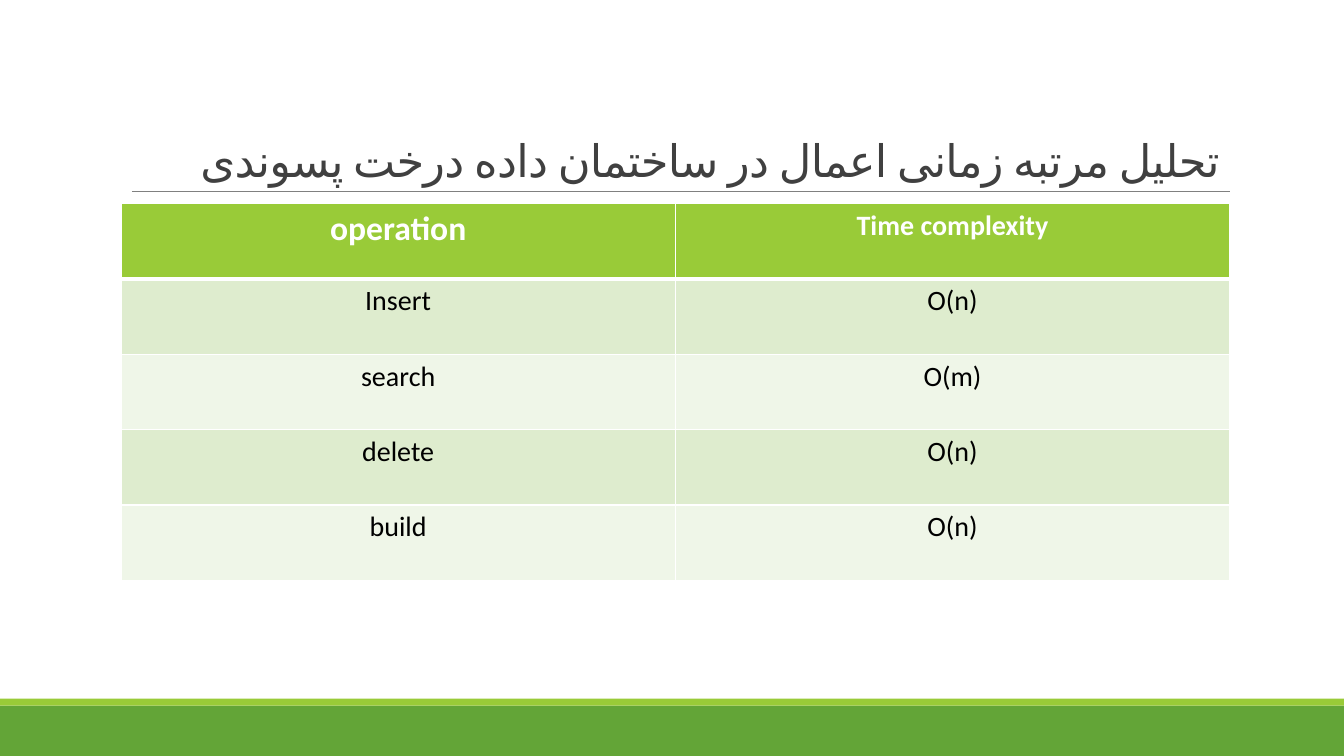
from dataclasses import dataclass

from lxml.etree import SubElement
from pptx import Presentation
from pptx.dml.color import RGBColor
from pptx.enum.shapes import MSO_CONNECTOR, MSO_SHAPE
from pptx.enum.text import MSO_ANCHOR, PP_ALIGN
from pptx.oxml.ns import qn
from pptx.util import Pt

TITLE = "تحلیل مرتبه زمانی اعمال در ساختمان داده درخت پسوندی"
ROWS = [
    ("operation", "Time complexity"),
    ("Insert", "O(n)"),
    ("search", "O(m)"),
    ("delete", "O(n)"),
    ("build", "O(n)"),
]


@dataclass(frozen=True)
class Theme:
    font: str = "Calibri"
    green: str = "63A537"
    lime: str = "99CB38"
    bands: tuple = ("EFF6E8", "DEECCE")
    rule: str = "808080"
    ink: str = "404040"
    black: str = "000000"
    white: str = "FFFFFF"
    title: int = 32
    head: int = 24
    body: int = 20


THEME = Theme()
WIDE, HIGH = 960, 540
LEFT, SPAN = 86.4, 792
TOP, STEP = 145.6, 53.8
FOOT, STRIP = 36, 5
RULE = 136.8


def paint(fill, color):
    fill.solid()
    fill.fore_color.rgb = RGBColor.from_string(color)


def write(par, text, size, color, bold=False):
    run = par.add_run()
    run.text = text
    run.font.name = THEME.font
    run.font.size = Pt(size)
    run.font.bold = bold
    run.font.color.rgb = RGBColor.from_string(color)
    return run


def add_bar(slide, top, height, color):
    bar = slide.shapes.add_shape(
        MSO_SHAPE.RECTANGLE, 0, Pt(top), Pt(WIDE), Pt(height))
    bar.shadow.inherit = False
    paint(bar.fill, color)
    bar.line.fill.background()


def add_rule(slide):
    rule = slide.shapes.add_connector(
        MSO_CONNECTOR.STRAIGHT, Pt(94.3), Pt(RULE), Pt(878.8), Pt(RULE))
    rule.line.width = Pt(0.5)
    rule.line.color.rgb = RGBColor.from_string(THEME.rule)
    SubElement(rule._element.spPr, qn("a:effectLst"))


def add_title(slide):
    box = slide.shapes.add_textbox(Pt(LEFT), Pt(22.3), Pt(SPAN), Pt(114.5))
    frame = box.text_frame
    frame.word_wrap = True
    frame.vertical_anchor = MSO_ANCHOR.BOTTOM
    par = frame.paragraphs[0]
    par.alignment = PP_ALIGN.RIGHT
    par.line_spacing = 0.85
    par._p.get_or_add_pPr().set("rtl", "1")
    run = write(par, TITLE, THEME.title, THEME.ink)
    props = run._r.get_or_add_rPr()
    props.set("lang", "fa-IR")
    props.set("spc", "-50")


def edge(cell, side, width):
    line = SubElement(cell._tc.get_or_add_tcPr(), qn(f"a:ln{side}"),
                      w=str(Pt(width)))
    fill = SubElement(line, qn("a:solidFill"))
    SubElement(fill, qn("a:srgbClr"), val=THEME.white)


def add_grid(slide):
    count, cols = len(ROWS), len(ROWS[0])
    grid = slide.shapes.add_table(
        count, cols, Pt(LEFT), Pt(TOP), Pt(SPAN), Pt(STEP * count)).table
    for col in grid.columns:
        col.width = Pt(SPAN / cols)
    for i, texts in enumerate(ROWS):
        grid.rows[i].height = Pt(STEP)
        head = i == 0
        for j, text in enumerate(texts):
            cell = grid.cell(i, j)
            widths = {"L": 1, "R": 1, "T": 3 if i == 1 else 1,
                      "B": 3 if head else 1}
            for side, width in widths.items():
                edge(cell, side, width)
            paint(cell.fill, THEME.lime if head else THEME.bands[i % 2])
            par = cell.text_frame.paragraphs[0]
            par.alignment = PP_ALIGN.CENTER
            size = THEME.head if head and j == 0 else THEME.body
            write(par, text, size, THEME.white if head else THEME.black, head)


def main():
    deck = Presentation()
    deck.slide_width, deck.slide_height = Pt(WIDE), Pt(HIGH)
    slide = deck.slides.add_slide(deck.slide_layouts[6])
    paint(slide.background.fill, THEME.white)
    add_bar(slide, HIGH - FOOT, FOOT, THEME.green)
    add_bar(slide, HIGH - FOOT - STRIP, STRIP, THEME.lime)
    add_rule(slide)
    add_title(slide)
    add_grid(slide)
    deck.save("out.pptx")


if __name__ == "__main__":
    main()
